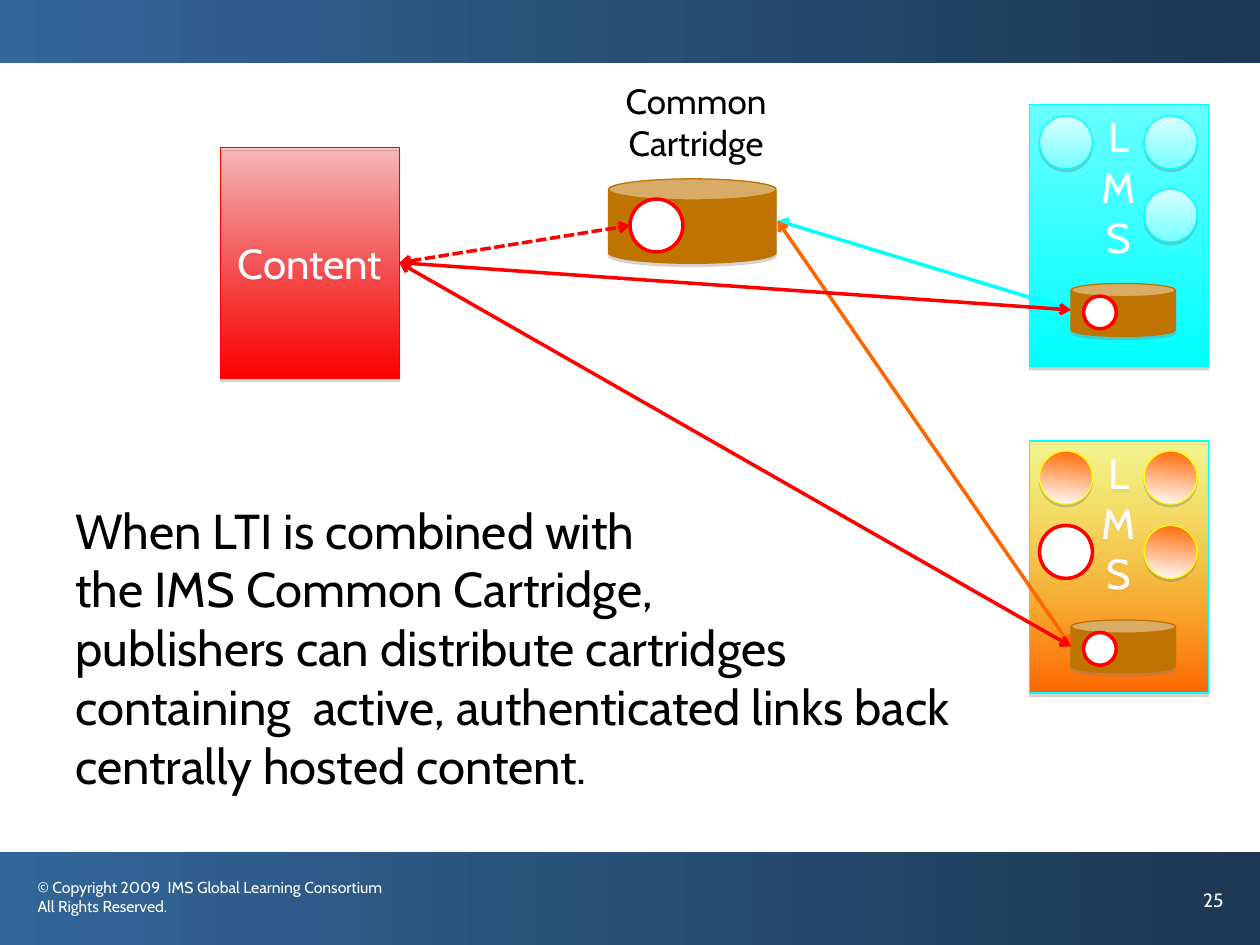
from dataclasses import dataclass
from typing import NamedTuple, Optional

from lxml.etree import SubElement
from pptx import Presentation
from pptx.dml.color import RGBColor
from pptx.enum.dml import MSO_LINE
from pptx.enum.shapes import MSO_CONNECTOR, MSO_SHAPE as Preset
from pptx.enum.text import MSO_ANCHOR as Anchor, PP_ALIGN as Align
from pptx.oxml.ns import qn
from pptx.util import Inches, Pt


@dataclass(frozen=True)
class Theme:
    font: str = "Cabin"
    white: str = "FFFFFF"
    black: str = "000000"
    navy: str = "1C3853"
    blue: str = "336699"
    red: str = "FF0000"
    cyan: str = "00FFFF"
    orange: str = "FF6600"
    yellow: str = "FFFF00"
    cartridge: str = "BF7300"
    shadow: str = "808080"
    copyright_size: float = 9
    number_size: float = 11
    label_size: float = 20
    box_size: float = 24
    body_size: float = 28
    thin: float = 0.75
    thick: float = 2


THEME = Theme()


class Box(NamedTuple):
    left: float
    top: float
    width: float
    height: float


class Gradient(NamedTuple):
    start: str
    end: str
    angle: float = 90
    start_opacity: int = 100


class Shadow(NamedTuple):
    opacity: int
    distance: float


class Look(NamedTuple):
    fill: "str | Gradient"
    line: Optional[str] = None
    weight: float = THEME.thin
    shadow: Optional[Shadow] = None


class Lms(NamedTuple):
    frame: Box
    frame_look: Look
    tools: list  # (column, top, look)
    cartridge_top: float


BOX_SHADOW = Shadow(35, 1.8)
TOOL_SHADOW = Shadow(38, 1.6)
BAR = Look(Gradient(THEME.navy, THEME.blue, 180))
CONTENT = Look(Gradient(THEME.red, THEME.red, start_opacity=24), THEME.red, shadow=BOX_SHADOW)
CARTRIDGE = Look(THEME.cartridge, THEME.cartridge, shadow=BOX_SHADOW)
LINK = Look(THEME.white, THEME.red, THEME.thick)
CYAN_TOOL = Look(Gradient("D7FFFF", "78FFFF"), THEME.cyan, shadow=TOOL_SHADOW)
ORANGE_TOOL = Look(Gradient(THEME.orange, THEME.white, 97), THEME.yellow, shadow=TOOL_SHADOW)

TOOL_COLUMNS = (8.25, 9.08)
TOOL_SIZE = 0.42
CARTRIDGE_LEFT = 8.5
LMS_SYSTEMS = [
    Lms(Box(8.17, 0.83, 1.42, 2.08),
        Look(Gradient("67FFFF", THEME.cyan), THEME.cyan, shadow=BOX_SHADOW),
        [(0, 0.92, CYAN_TOOL), (1, 0.92, CYAN_TOOL), (1, 1.5, CYAN_TOOL)], 2.25),
    Lms(Box(8.17, 3.5, 1.42, 2),
        Look(Gradient(THEME.yellow, THEME.orange, start_opacity=38), THEME.cyan,
             shadow=BOX_SHADOW),
        [(0, 4.17, LINK), (1, 3.58, ORANGE_TOOL), (1, 4.17, ORANGE_TOOL),
         (0, 3.58, ORANGE_TOOL)], 4.92),
]


def write(frame, text: str, *, size: float, color: str = THEME.white, align=Align.LEFT,
          anchor=Anchor.TOP, wrap: bool = True) -> None:
    """Fill a text frame: a newline starts a paragraph, a vertical tab breaks a line."""
    frame.word_wrap = wrap
    frame.vertical_anchor = anchor
    frame.text = text
    for paragraph in frame.paragraphs:
        paragraph.alignment = align
        for run in paragraph.runs:
            run.font.name = THEME.font
            run.font.size = Pt(size)
            run.font.color.rgb = RGBColor.from_string(color)


def add_label(slide, box: Box, text: str, **text_format) -> None:
    label = slide.shapes.add_textbox(*map(Inches, box))
    write(label.text_frame, text, **text_format)


def set_opacity(color, percent: int) -> None:
    SubElement(color, qn("a:alpha"), val=str(percent * 1000))


def paint_gradient(shape, gradient: Gradient) -> None:
    shape.fill.gradient()
    shape.fill.gradient_angle = 360 - gradient.angle  # python-pptx turns anticlockwise
    for stop, color in zip(shape.fill.gradient_stops, (gradient.start, gradient.end)):
        stop.color.rgb = RGBColor.from_string(color)
    if gradient.start_opacity < 100:
        first_color = next(shape._element.spPr.iter(qn("a:srgbClr")))
        set_opacity(first_color, gradient.start_opacity)


def cast_shadow(shape, shadow: Shadow) -> None:
    effects = shape._element.spPr.find(qn("a:effectLst"))
    outer = SubElement(effects, qn("a:outerShdw"), blurRad="0", dist=str(Pt(shadow.distance)),
                       dir="5400000", rotWithShape="0")
    set_opacity(SubElement(outer, qn("a:srgbClr"), val=THEME.shadow), shadow.opacity)


def add_shape(shapes, preset, box: Box, look: Look):
    shape = shapes.add_shape(preset, *map(Inches, box))
    if isinstance(look.fill, Gradient):
        paint_gradient(shape, look.fill)
    else:
        shape.fill.solid()
        shape.fill.fore_color.rgb = RGBColor.from_string(look.fill)
    if look.line:
        shape.line.color.rgb = RGBColor.from_string(look.line)
        shape.line.width = Pt(look.weight)
    else:
        shape.line.fill.background()
    shape.shadow.inherit = False
    if look.shadow:
        cast_shadow(shape, look.shadow)
    return shape


def add_arrow(slide, start: tuple, end: tuple, color: str, dashed: bool = False):
    """Draw a straight line with an open arrowhead at both ends."""
    arrow = slide.shapes.add_connector(MSO_CONNECTOR.STRAIGHT, *map(Inches, start + end))
    arrow.line.color.rgb = RGBColor.from_string(color)
    arrow.line.width = Pt(THEME.thick)
    if dashed:
        arrow.line.dash_style = MSO_LINE.SQUARE_DOT
    properties = arrow._element.spPr
    for tip in ("a:headEnd", "a:tailEnd"):
        SubElement(properties.find(qn("a:ln")), qn(tip), type="arrow")
    SubElement(properties, qn("a:effectLst"))
    return arrow


def add_lms(slide, lms: Lms) -> None:
    frame = add_shape(slide.shapes, Preset.RECTANGLE, lms.frame, lms.frame_look)
    write(frame.text_frame, "L\nM\nS", size=THEME.box_size, align=Align.CENTER)
    for column, top, look in lms.tools:
        add_shape(slide.shapes, Preset.OVAL,
                  Box(TOOL_COLUMNS[column], top, TOOL_SIZE, TOOL_SIZE), look)
    group = slide.shapes.add_group_shape().shapes
    add_shape(group, Preset.CAN, Box(CARTRIDGE_LEFT, lms.cartridge_top, 0.83, 0.42), CARTRIDGE)
    add_shape(group, Preset.OVAL,
              Box(CARTRIDGE_LEFT + 0.1, lms.cartridge_top + 0.1, 0.26, 0.26), LINK)


def main() -> None:
    deck = Presentation()
    deck.slide_width, deck.slide_height = Inches(10), Inches(7.5)
    slide = deck.slides.add_slide(deck.slide_layouts[6])

    for bar in (Box(0, 6.76, 10, 0.74), Box(0, 0, 10, 0.5)):
        add_shape(slide.shapes, Preset.RECTANGLE, bar, BAR)
    add_label(slide, Box(0.2, 6.92, 3.13, 0.5),
              "© Copyright 2009  IMS Global Learning Consortium\nAll Rights Reserved.",
              size=THEME.copyright_size)
    add_label(slide, Box(9.45, 7, 0.55, 0.5), "25", size=THEME.number_size)

    content = add_shape(slide.shapes, Preset.RECTANGLE, Box(1.75, 1.17, 1.42, 1.83), CONTENT)
    write(content.text_frame, "Content", size=THEME.box_size, align=Align.CENTER,
          anchor=Anchor.MIDDLE)
    add_shape(slide.shapes, Preset.CAN, Box(4.83, 1.42, 1.33, 0.67), CARTRIDGE)
    add_shape(slide.shapes, Preset.OVAL, Box(5, 1.58, TOOL_SIZE, TOOL_SIZE), LINK)
    add_label(slide, Box(4.81, 0.58, 1.43, 0.77), "Common\nCartridge", size=THEME.label_size,
              color=THEME.black, align=Align.CENTER, wrap=False)
    for lms in LMS_SYSTEMS:
        add_lms(slide, lms)

    content_side, cartridge_side = (3.17, 2.08), (6.17, 1.75)
    upper_lms, lower_lms = (CARTRIDGE_LEFT, 2.46), (CARTRIDGE_LEFT, 5.13)
    add_arrow(slide, cartridge_side, upper_lms, THEME.cyan)
    add_arrow(slide, cartridge_side, lower_lms, THEME.orange)
    for target, dashed in (((5, 1.79), True), (upper_lms, False), (lower_lms, False)):
        add_arrow(slide, content_side, target, THEME.red, dashed).begin_connect(content, 3)

    add_label(slide, Box(0.5, 3.92, 7.25, 2.44),
              "When LTI is combined with\nthe IMS Common Cartridge,\v"
              "publishers can distribute cartridges containing  active, "
              "authenticated links back centrally hosted content.",
              size=THEME.body_size, color=THEME.black)
    deck.save("out.pptx")


if __name__ == "__main__":
    main()
